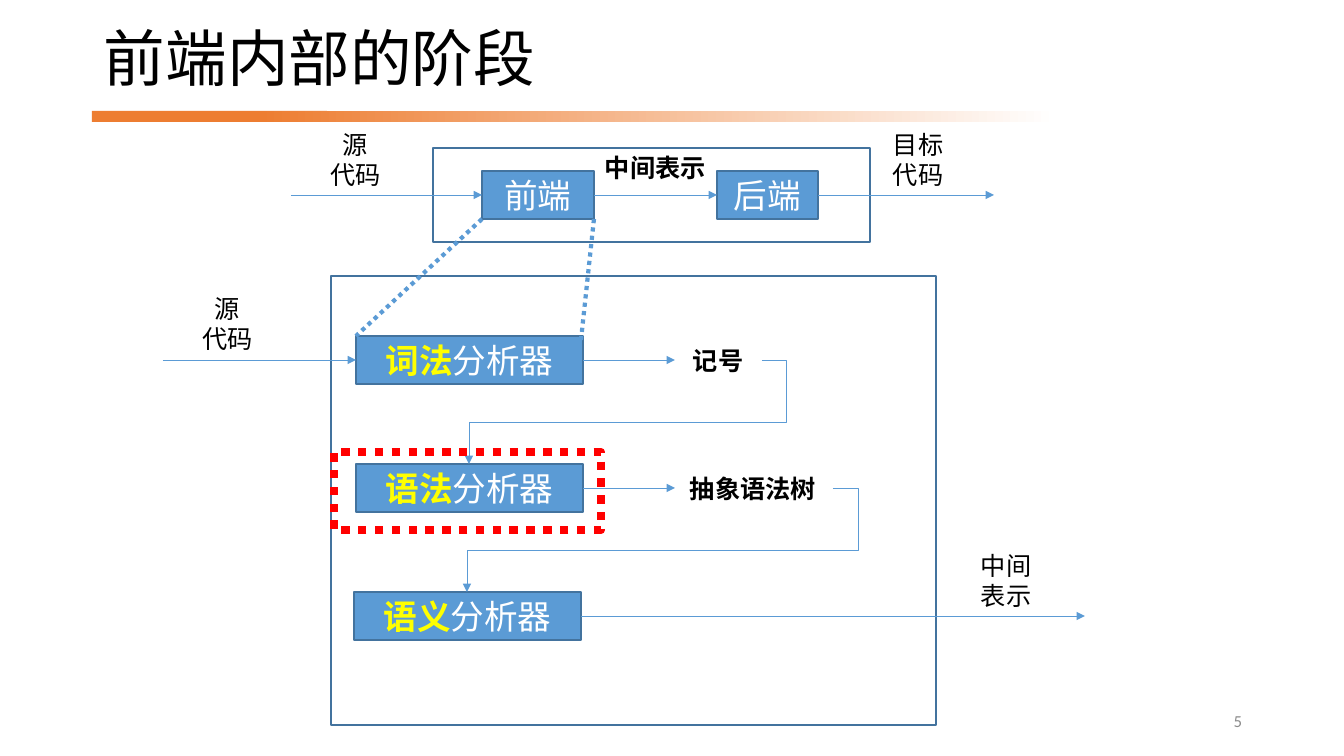
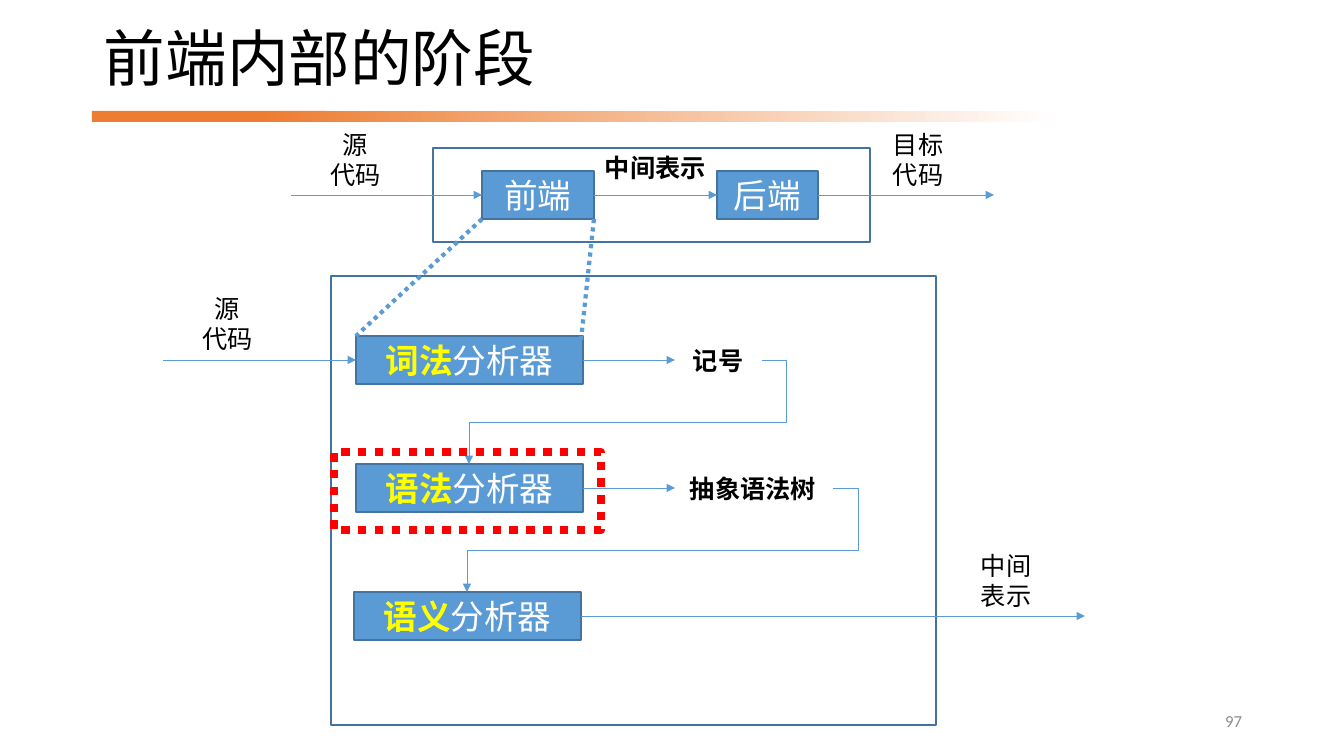
from pptx import Presentation
from pptx.dml.color import RGBColor
from pptx.enum.dml import MSO_LINE
from pptx.enum.shapes import MSO_CONNECTOR, MSO_SHAPE
from pptx.enum.text import MSO_ANCHOR, PP_ALIGN
from pptx.oxml.ns import qn
from pptx.util import Emu, Pt
from lxml.etree import SubElement

SCALE = 12192000 / 1344  # EMU in one px
ORANGE = RGBColor(0xED, 0x7D, 0x31)
BLUE = RGBColor(0x5B, 0x9B, 0xD5)
NAVY = RGBColor(0x43, 0x73, 0x9E)
WHITE = RGBColor(0xFF, 0xFF, 0xFF)
BLACK = RGBColor(0, 0, 0)
GRAY = RGBColor(0x8C, 0x8C, 0x8C)
YELLOW = RGBColor(0xFF, 0xFF, 0)
RED = RGBColor(0xFF, 0, 0)
HAN = "Noto Sans CJK SC"
LEFT, MID, RIGHT = PP_ALIGN.LEFT, PP_ALIGN.CENTER, PP_ALIGN.RIGHT

TALL = 48  # height of a stage box
TOP = 171  # top of the upper row
ROWS = [336 + 128 * i for i in range(3)]
AXES = [row + TALL // 2 for row in ROWS]
AXIS = TOP + TALL // 2
TURN, DROP = 25, 62  # bends of the elbow links

# name: left, top, width, height, marked word, rest
BOXES = {
    "outer": (433, 148, 437, 94, "", ""),
    "front": (482, TOP, 112, TALL, "", "前端"),
    "back": (717, TOP, 101, TALL, "", "后端"),
    "panel": (331, 276, 605, 449, "", ""),
    "lexer": (356, ROWS[0], 227, TALL, "词法", "分析器"),
    "parser": (356, ROWS[1], 227, TALL, "语法", "分析器"),
    "checker": (354, ROWS[2], 227, TALL, "语义", "分析器"),
}
# name: left, top, width, height, text, alignment, bold
LABELS = {
    "title": (94, 17, 1123, 90, "前端内部的阶段", LEFT, False),
    "source": (304, 124, 103, 72, "源\n代码", MID, False),
    "target": (883, 124, 79, 72, "目标代码", LEFT, False),
    "middle": (595, 147, 128, 40, "中间表示", LEFT, True),
    "input": (176, 288, 103, 72, "源\n代码", MID, False),
    "tokens": (675, AXES[0] - 20, 86, 40, "记号", MID, True),
    "tree": (675, AXES[1] - 20, 156, 40, "抽象语法树", MID, True),
    "result": (971, 545, 79, 72, "中间表示", LEFT, False),
    "page": (950, 701, 302, 40, "", RIGHT, False),
}
# start and end: a point, or the name of a shape joined at its side
ARROWS = [
    ((291, AXIS), "front"), ("front", "back"), ("back", (994, AXIS)),
    ((163, AXES[0]), "lexer"), ("lexer", "tokens"), ("parser", "tree"),
    ("checker", (1085, AXES[2])),
]
ELBOWS = [((762, AXES[0]), (469, ROWS[1])), ((833, AXES[1]), (467, ROWS[2]))]
DOTS = [((482, 219), (356, 336)), ((594, 219), (581, 340))]


def px(*nums):
    return [Emu(round(n * SCALE)) for n in nums]


def link(kind, start, end, width, arrow=True):
    """Add a blue connector to the current slide, with an arrowhead at its end."""
    wire = slide.shapes.add_connector(kind, *px(*start, *end))
    wire.line.color.rgb = BLUE
    wire.line.width = Pt(width)
    if arrow:
        SubElement(wire.line._get_or_add_ln(), qn("a:tailEnd"), type="triangle")
    SubElement(wire.element.spPr, qn("a:effectLst"))
    return wire


deck = Presentation()
deck.slide_width, deck.slide_height = px(1344, 756)

for number in ("5", "97"):
    slide = deck.slides.add_slide(deck.slide_layouts[6])
    shapes = {}

    for left, width in ((92, 235), (259, 798)):
        band = slide.shapes.add_shape(MSO_SHAPE.RECTANGLE, *px(left, 111, width, 11))
        band.shadow.inherit = False
        band.line.fill.background()
        band.fill.solid()
        band.fill.fore_color.rgb = ORANGE
    band.fill.gradient()
    band.fill.gradient_angle = 0
    for stop, color in zip(band.fill.gradient_stops, (ORANGE, WHITE)):
        stop.color.rgb = color

    for name, (*place, mark, rest) in BOXES.items():
        box = slide.shapes.add_shape(MSO_SHAPE.RECTANGLE, *px(*place))
        box.shadow.inherit = False
        box.fill.solid()
        box.fill.fore_color.rgb = BLUE if rest else WHITE
        box.line.color.rgb = NAVY
        box.line.width = Pt(1)
        shapes[name] = box
        para = box.text_frame.paragraphs[0]
        para.alignment = MID
        for word, color in ((mark, YELLOW), (rest, WHITE)):
            if word:
                run = para.add_run()
                run.text = word
                run.font.size = Pt(24)
                run.font.bold = color == YELLOW
                run.font.color.rgb = color
                run.font.name = HAN

    for name, (*place, text, align, bold) in LABELS.items():
        label = slide.shapes.add_textbox(*px(*place))
        shapes[name] = label
        frame = label.text_frame
        frame.word_wrap = True
        frame.text = text or number
        for para in frame.paragraphs:
            para.alignment = align
            font = para.runs[0].font
            font.size = Pt(18)
            font.bold = bold
            font.color.rgb = BLACK
            font.name = HAN
    for name, size, face, color in (("title", 44, "Arial", BLACK), ("page", 12, "Calibri", GRAY)):
        frame = shapes[name].text_frame
        frame.vertical_anchor = MSO_ANCHOR.MIDDLE
        font = frame.paragraphs[0].runs[0].font
        font.size = Pt(size)
        font.name = face
        font.color.rgb = color
    shapes["title"].text_frame.paragraphs[0].line_spacing = 0.9

    # East Asian glyphs take their face from a:ea
    for shape in shapes.values():
        for para in shape.text_frame.paragraphs:
            for run in para.runs:
                SubElement(run.font._element, qn("a:ea"), typeface=HAN)

    for start, end in ARROWS:
        ends = [(0, 0) if isinstance(spot, str) else spot for spot in (start, end)]
        wire = link(MSO_CONNECTOR.STRAIGHT, *ends, 0.5)
        if isinstance(start, str):
            wire.begin_connect(shapes[start], 3)
        if isinstance(end, str):
            wire.end_connect(shapes[end], 1)

    for start, end in ELBOWS:
        wire = link(MSO_CONNECTOR.ELBOW, start, end, 0.5)
        geom = wire.element.spPr.find(qn("a:prstGeom"))
        geom.set("prst", "bentConnector4")
        guides = geom.find(qn("a:avLst"))
        bends = (-TURN / (start[0] - end[0]), DROP / (end[1] - start[1]))
        for i, bend in enumerate(bends, 1):
            SubElement(guides, qn("a:gd"), name=f"adj{i}", fmla=f"val {round(bend * 100000)}")

    for start, end in DOTS:
        wire = link(MSO_CONNECTOR.STRAIGHT, start, end, 3, arrow=False)
        wire.line.dash_style = MSO_LINE.ROUND_DOT

    focus = slide.shapes.add_shape(MSO_SHAPE.RECTANGLE, *px(334, 452, 267, 78))
    focus.shadow.inherit = False
    focus.fill.background()
    focus.line.color.rgb = RED
    focus.line.width = Pt(6)
    focus.line.dash_style = MSO_LINE.ROUND_DOT

deck.save("out.pptx")
